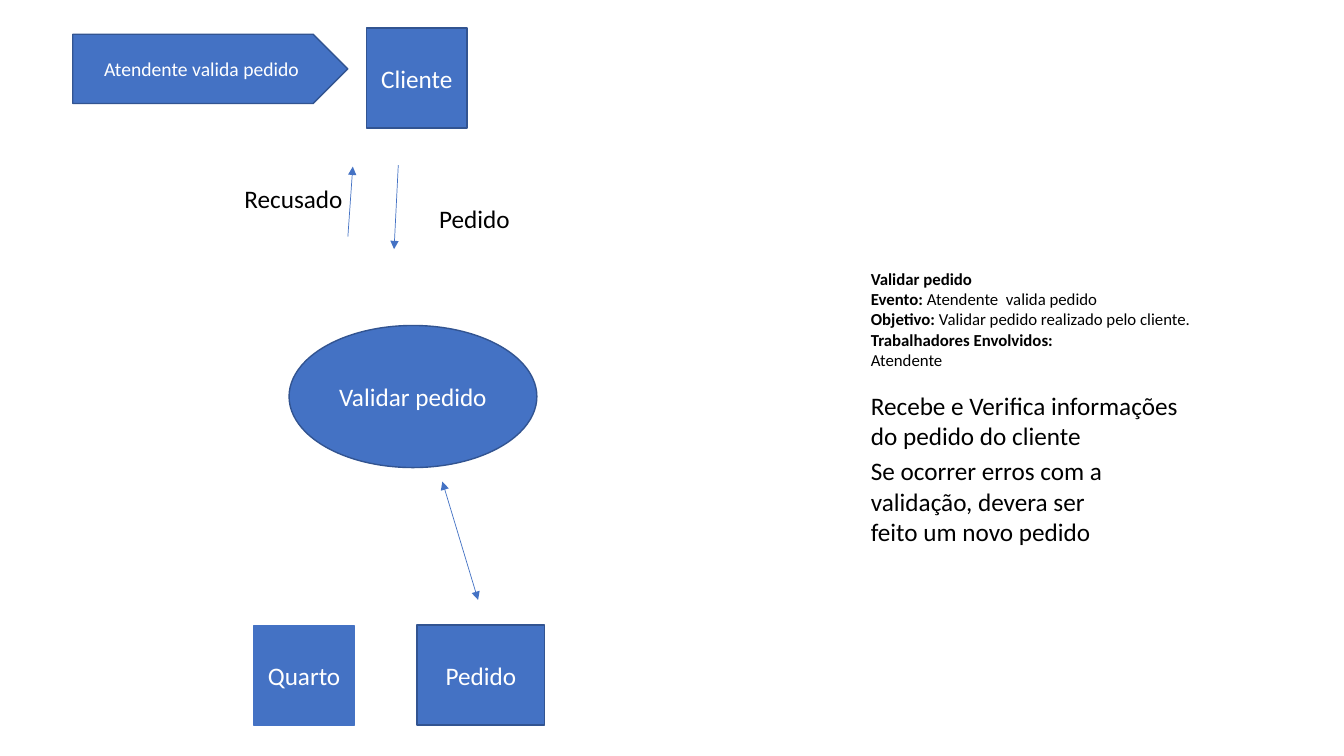
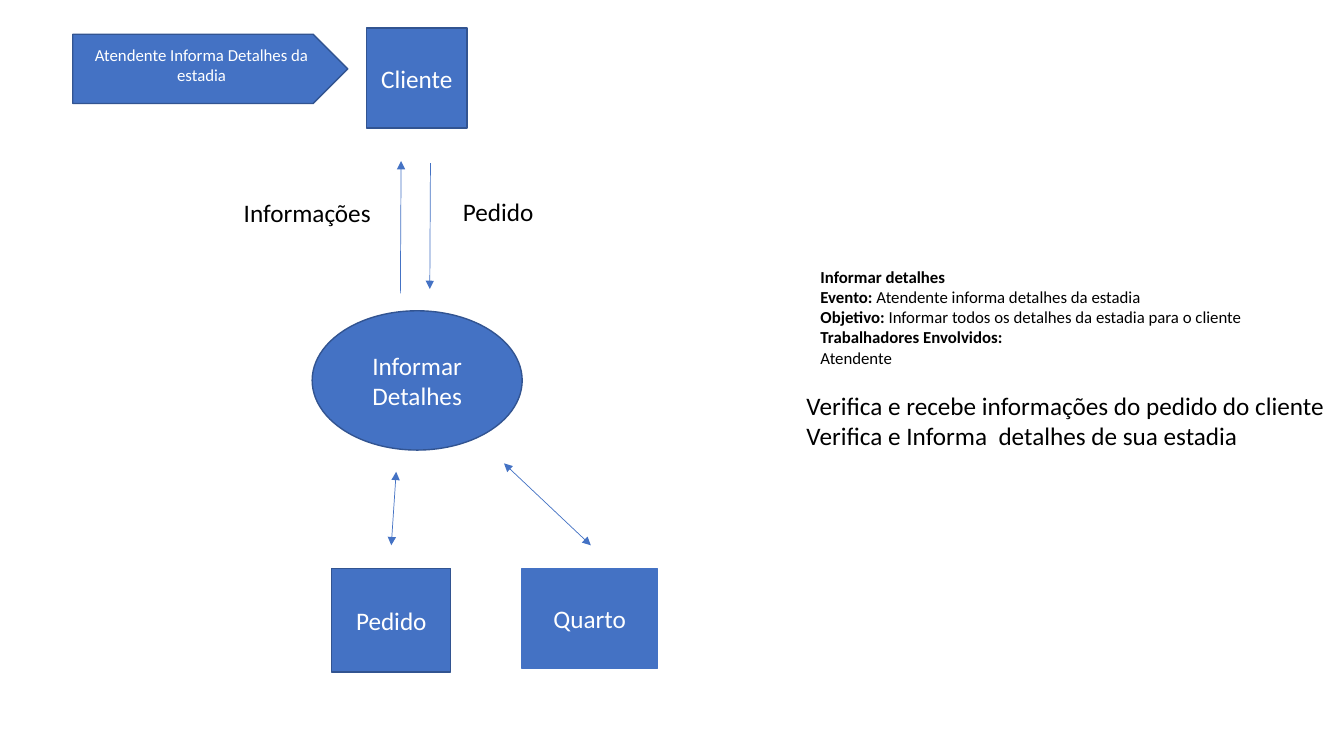
import collections
import pptx
import pptx.dml.color
import pptx.enum.shapes
import pptx.enum.text
import pptx.oxml
import pptx.oxml.ns
import pptx.util

Pt = pptx.util.Pt
SHAPES = pptx.enum.shapes.MSO_SHAPE
ALIGN = pptx.enum.text.PP_ALIGN
ANCHOR = pptx.enum.text.MSO_ANCHOR
COLORS = {"blue": "4472C4", "edge": "325491", "white": "FFFFFF", "black": "000000"}
FONT = "Calibri"
LABEL_SIZE = (110, 29)
HEADER_BOX = (52, 20, 281.5, 71.5)
FLOW_ORIGIN = (167, 115)

Arrow = collections.namedtuple("Arrow", "start end double")
Node = collections.namedtuple("Node", "text box edge")
Note = collections.namedtuple("Note", "box lines")


def color(name):
    return pptx.dml.color.RGBColor.from_string(COLORS[name])


def inside(origin, box):
    """Move a box or a point from region to page coordinates, in points."""
    left, top, *size = box
    return [Pt(value) for value in (origin[0] + left, origin[1] + top, *size)]


def write(frame, lines, size, tone, align):
    """Fill a frame; each line is a list of (text, bold) pairs."""
    frame.word_wrap = True
    for index, line in enumerate(lines):
        para = frame.paragraphs[0] if index == 0 else frame.add_paragraph()
        para.alignment = align
        for text, bold in line:
            span = para.add_run()
            span.text = text
            look = {"name": FONT, "size": Pt(size), "bold": bold}
            for key, value in look.items():
                setattr(span.font, key, value)
            span.font.color.rgb = color(tone)


def add_node(page, kind, box, text, size=18, edge="edge"):
    node = page.shapes.add_shape(kind, *box)
    node.shadow.inherit = False
    node.fill.solid()
    node.fill.fore_color.rgb = color("blue")
    node.line.color.rgb = color(edge)
    node.line.width = Pt(1)
    node.text_frame.vertical_anchor = ANCHOR.MIDDLE
    write(node.text_frame, [[(text, False)]], size, "white", ALIGN.CENTER)
    return node


def add_text(page, box, lines, size=18, align=ALIGN.LEFT):
    write(page.shapes.add_textbox(*box).text_frame, lines, size, "black", align)


def add_arrow(page, origin, arrow):
    line = page.shapes.add_connector(
        pptx.enum.shapes.MSO_CONNECTOR.STRAIGHT,
        *inside(origin, arrow.start), *inside(origin, arrow.end))
    line.line.color.rgb = color("blue")
    line.line.width = Pt(0.5)
    outline = line.line._get_or_add_ln()
    for tag in ("a:headEnd", "a:tailEnd") if arrow.double else ("a:tailEnd",):
        tip = pptx.oxml.parse_xml(f"<{tag} {pptx.oxml.ns.nsdecls('a')} type='triangle'/>")
        outline.append(tip)
    line._element.spPr.append(
        pptx.oxml.parse_xml(f"<a:effectLst {pptx.oxml.ns.nsdecls('a')}/>"))


def draw_header(page, box, event, size, lift):
    """Event plate on the left, square client on the right; lift raises the event text."""
    width, side = box[2:]
    add_node(page, SHAPES.RECTANGLE, inside(box, (width - side, 0, side, side)), "Cliente")
    plate = add_node(page, SHAPES.PENTAGON, inside(box, (0, 4.5, 196.5, 49.5)), event, size)
    plate.text_frame.margin_bottom = Pt(3.6 + 2 * lift)


def draw_flow(page, origin, process, stores, arrows, labels):
    add_node(page, SHAPES.OVAL, inside(origin, process.box), process.text, edge=process.edge)
    for store in stores:
        add_node(page, SHAPES.RECTANGLE, inside(origin, store.box), store.text, edge=store.edge)
    for arrow in arrows:
        add_arrow(page, origin, arrow)
    for text, spot in labels:
        add_text(page, inside(origin, (*spot, *LABEL_SIZE)), [[(text, False)]])


def draw_details(page, box, title, event, goal, notes):
    """Use case summary with the free notes below it."""
    lines = [
        [(title, True)],
        [("Evento: ", True), (event, False)],
        [("Objetivo:", True), (" " + goal, False)],
        [("Trabalhadores Envolvidos:", True)],
        [("Atendente", False)],
    ]
    add_text(page, inside(box, (0, 0, *box[2:])), lines, 12, ALIGN.JUSTIFY)
    for note in notes:
        add_text(page, inside(box, note.box), [[(line, False)] for line in note.lines])


PAGES = [
    {
        "header": {"event": "Atendente valida pedido", "size": 14, "lift": 0},
        "flow": {
            "process": Node("Validar pedido", (39.5, 117.5, 177, 101.5), "edge"),
            "stores": [Node("Quarto", (14.5, 332, 71.5, 71.5), "blue"),
                       Node("Pedido", (131, 331.5, 91, 71.5), "edge")],
            "arrows": [Arrow((117.5, 3), (114.5, 63), False),
                       Arrow((81.5, 54), (85, 4), False),
                       Arrow((149, 229), (174.5, 313.5), True)],
            "labels": [("Recusado", (0.5, 12.5)), ("Pedido", (139.5, 27))],
        },
        "details": {
            "box": (615, 188.5, 285, 80),
            "title": "Validar pedido",
            "event": "Atendente  valida pedido",
            "goal": "Validar pedido realizado pelo cliente.",
            "notes": [
                Note((0, 86.5, 244, 51),
                     ["Recebe e Verifica informações do pedido do cliente"]),
                Note((0, 133.5, 194, 73),
                     ["Se ocorrer erros com a validação, devera ser feito um novo pedido"]),
            ],
        },
    },
    {
        "header": {"event": "Atendente Informa Detalhes da estadia", "size": 12, "lift": 3},
        "flow": {
            "process": Node("Informar Detalhes", (56, 107, 150, 99.5), "edge"),
            "stores": [Node("Pedido", (70, 291, 85, 74), "edge"),
                       Node("Quarto", (206, 291, 96.5, 71.5), "blue")],
            "arrows": [Arrow((119, 94.5), (119.5, 0), False),
                       Arrow((140.5, 1.5), (140, 91.5), False),
                       Arrow((112.5, 274.5), (116, 222), True),
                       Arrow((255, 274.5), (193, 216), True)],
            "labels": [("Informações", (0, 22.5)), ("Pedido", (156.5, 22))],
        },
        "details": {
            "box": (579, 187, 348.5, 80),
            "title": "Informar detalhes",
            "event": "Atendente informa detalhes da estadia",
            "goal": "Informar todos os detalhes da estadia para o cliente",
            "notes": [
                Note((-10, 88, 391, 51),
                     ["Verifica e recebe informações do pedido do cliente",
                      "Verifica e Informa  detalhes de sua estadia"]),
            ],
        },
    },
]


def main():
    deck = pptx.Presentation()
    deck.slide_width, deck.slide_height = Pt(960), Pt(540)
    for content in PAGES:
        page = deck.slides.add_slide(deck.slide_layouts[6])
        draw_header(page, HEADER_BOX, **content["header"])
        draw_flow(page, FLOW_ORIGIN, **content["flow"])
        draw_details(page, **content["details"])
    deck.save("out.pptx")


if __name__ == "__main__":
    main()
